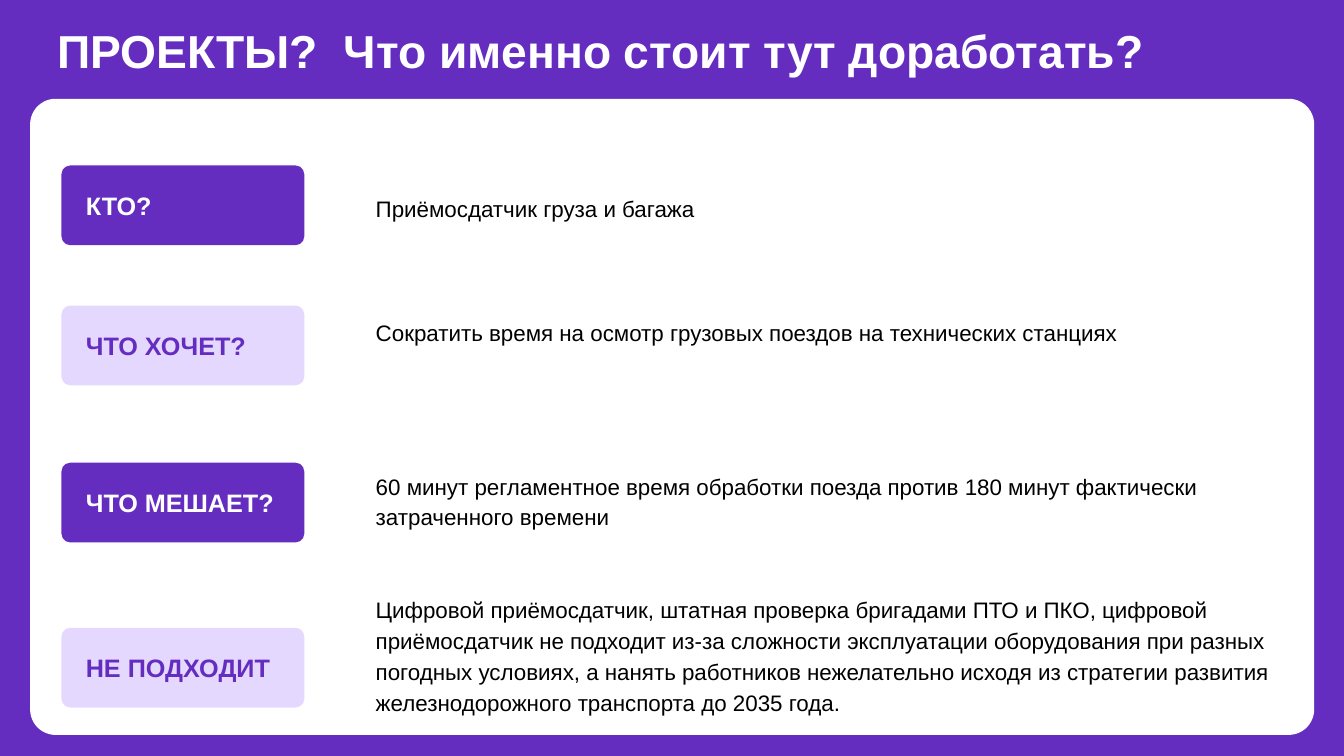
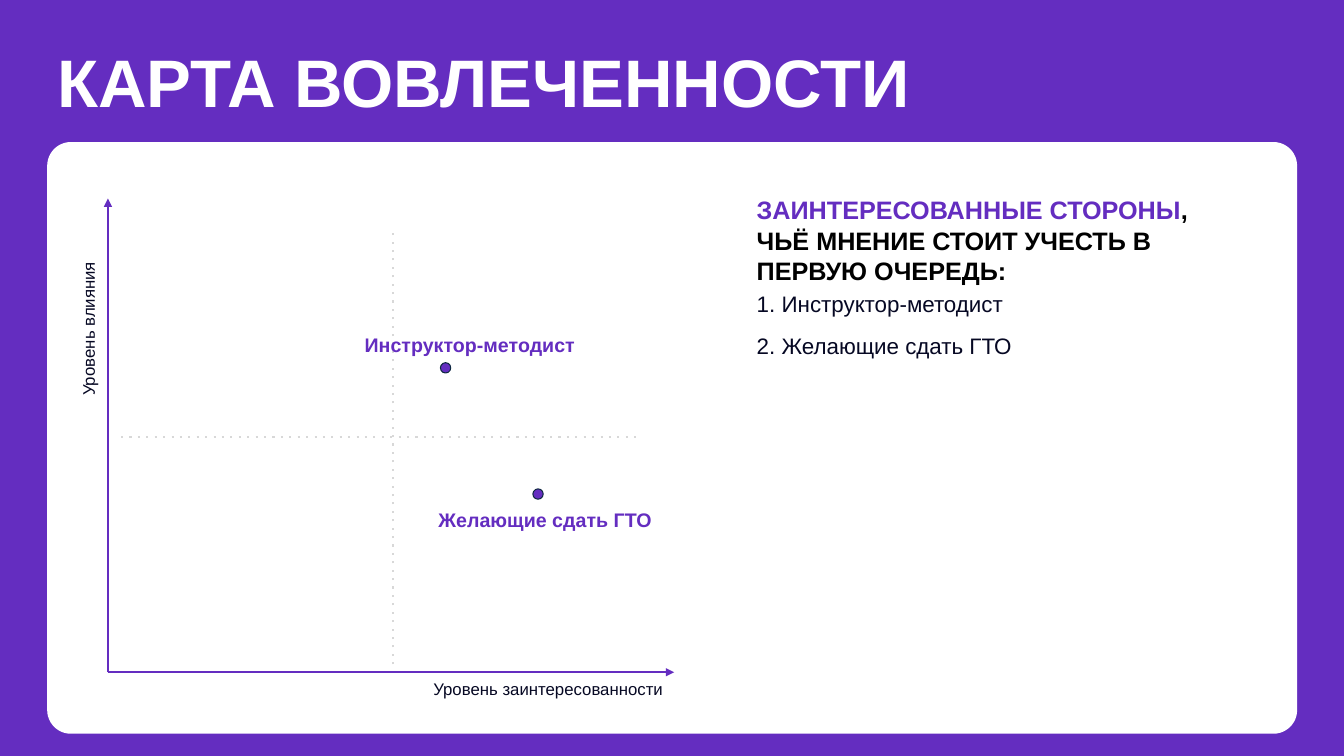
import dataclasses

import lxml.etree
import pptx
import pptx.dml.color
import pptx.enum.shapes
import pptx.enum.text
import pptx.oxml.ns
import pptx.util

Cm = pptx.util.Cm
Pt = pptx.util.Pt
RGB = pptx.dml.color.RGBColor.from_string
SHAPE = pptx.enum.shapes.MSO_SHAPE
ANCHOR = pptx.enum.text.MSO_ANCHOR
qn = pptx.oxml.ns.qn


@dataclasses.dataclass(frozen=True)
class Theme:
    font: str = "Arial"
    violet: str = "642DC0"
    lilac: str = "E5D8FE"
    white: str = "FFFFFF"
    black: str = "000000"
    ink: str = "060823"
    outline: str = "0E2841"
    grid: str = "D8D8D8"
    question: int = 33
    title: int = 48
    label: int = 18
    body: int = 16
    point: int = 14
    axis: int = 12


T = Theme()


def add_shape(s, kind, box, fill, adj=None, line=None):
    sp = s.shapes.add_shape(kind, *map(Cm, box))
    sp.shadow.inherit = False
    sp.fill.solid()
    sp.fill.fore_color.rgb = RGB(fill)
    if line:
        sp.line.color.rgb = RGB(line)
        sp.line.width = Pt(0.75)
    else:
        sp.line.fill.background()
    if adj:
        sp.adjustments[0] = adj
    return sp


def add_text(sp, text, p=None, size=T.body, color=T.ink, bold=False, spacing=None):
    tf = sp.text_frame
    tf.word_wrap = True
    p = p or tf.paragraphs[0]
    p.alignment = pptx.enum.text.PP_ALIGN.LEFT
    if spacing:
        p.line_spacing = spacing
    r = p.add_run()
    r.text = text
    r.font.name = T.font
    r.font.size = Pt(size)
    r.font.bold = bold
    r.font.color.rgb = RGB(color)
    return p


prs = pptx.Presentation()
prs.slide_width, prs.slide_height = Cm(33.87), Cm(19.05)

slides = []
for title, size, title_box, card in [
    ("ПРОЕКТЫ?  Что именно стоит тут доработать?", T.question,
     (1.19, 0.43, 31.4, 1.68), (0.76, 2.49, 32.36, 16.03)),
    ("КАРТА ВОВЛЕЧЕННОСТИ", T.title,
     (1.19, 0.89, 23.37, 2.31), (1.19, 3.58, 31.5, 14.91)),
]:
    s = prs.slides.add_slide(prs.slide_layouts[6])
    s.background.fill.solid()
    s.background.fill.fore_color.rgb = RGB(T.violet)
    add_shape(s, SHAPE.ROUNDED_RECTANGLE, card, T.white, adj=0.04)
    sp = s.shapes.add_textbox(*map(Cm, title_box))
    add_text(sp, title, size=size, color=T.white, bold=True)
    slides.append(s)

projects, engagement = slides

rows = [
    ("КТО?", 4.17, "Приёмосдатчик груза и багажа", 4.57, 1),
    ("ЧТО ХОЧЕТ?", 7.7,
     "Сократить время на осмотр грузовых поездов на технических станциях", 7.68, 1),
    ("ЧТО МЕШАЕТ?", 11.66,
     "60 минут регламентное время обработки поезда против 180 минут "
     "фактически затраченного времени", 11.56, 2),
    ("НЕ ПОДХОДИТ", 15.82,
     "Цифровой приёмосдатчик, штатная проверка бригадами ПТО и ПКО, цифровой "
     "приёмосдатчик не подходит из-за сложности эксплуатации оборудования при разных "
     "погодных условиях, а нанять работников нежелательно исходя из стратегии развития "
     "железнодорожного транспорта до 2035 года.", 14.67, 4),
]
label_styles = [(T.violet, T.white), (T.lilac, T.violet)]
for i, (label, label_top, answer, answer_top, lines) in enumerate(rows):
    fill, color = label_styles[i % 2]
    sp = add_shape(projects, SHAPE.ROUNDED_RECTANGLE, (1.55, label_top, 6.12, 2.01), fill, adj=0.11)
    sp.text_frame.margin_left = Cm(0.55)
    sp.text_frame.vertical_anchor = ANCHOR.MIDDLE
    add_text(sp, label, size=T.label, color=color, bold=True)
    sp = projects.shapes.add_textbox(Cm(9.22), Cm(answer_top), Cm(23.37), Cm(0.5 + 0.78 * lines))
    sp.text_frame.margin_top = sp.text_frame.margin_bottom = Cm(0.25)
    add_text(sp, answer, color=T.black, spacing=1.15)

origin = (2.72, 16.94)
for start, end, color, tag, attrs in [
    (origin, (2.72, 5), T.violet, "a:tailEnd", {"type": "triangle"}),
    (origin, (16.99, 16.94), T.violet, "a:tailEnd", {"type": "triangle"}),
    ((9.91, 16.74), (9.91, 5.74), T.grid, "a:prstDash", {"val": "dot"}),
    ((3.05, 11.02), (16.03, 11.02), T.grid, "a:prstDash", {"val": "dot"}),
]:
    cn = engagement.shapes.add_connector(
        pptx.enum.shapes.MSO_CONNECTOR.STRAIGHT, *map(Cm, start + end))
    cn.line.color.rgb = RGB(color)
    cn.line.width = Pt(1.5)
    lxml.etree.SubElement(cn.line._get_or_add_ln(), qn(tag), attrs)
    lxml.etree.SubElement(cn._element.spPr, qn("a:effectLst"))

for text, box, angle in [
    ("Уровень влияния", (-0.91, 6.71, 6.27, 0.76), 270),
    ("Уровень заинтересованности", (10.67, 16.99, 7.8, 0.76), 0),
]:
    sp = engagement.shapes.add_textbox(*map(Cm, box))
    sp.rotation = angle
    add_text(sp, text, size=T.axis)

dot = 0.26
parties = [
    ("Инструктор-методист", (11.23, 9.27), (8.94, 8.26, 7.44, 0.86)),
    ("Желающие сдать ГТО", (13.56, 12.45), (10.8, 12.67, 7.87, 0.86)),
]
for name, (x, y), box in parties:
    add_shape(engagement, SHAPE.OVAL, (x - dot / 2, y - dot / 2, dot, dot), T.violet, line=T.outline)
    sp = engagement.shapes.add_textbox(*map(Cm, box))
    add_text(sp, name, size=T.point, color=T.violet, bold=True)

sp = engagement.shapes.add_textbox(Cm(18.82), Cm(4.78), Cm(12.12), Cm(2.57))
p = add_text(sp, "ЗАИНТЕРЕСОВАННЫЕ СТОРОНЫ", size=T.label, color=T.violet, bold=True)
add_text(sp, ", ЧЬЁ МНЕНИЕ СТОИТ УЧЕСТЬ В ПЕРВУЮ ОЧЕРЕДЬ:", p=p,
         size=T.label, color=T.black, bold=True)

sp = engagement.shapes.add_textbox(Cm(18.82), Cm(7.19), Cm(12.04), Cm(1.95))
tf = sp.text_frame
for i, (name, *_) in enumerate(parties):
    p = tf.add_paragraph() if i else tf.paragraphs[0]
    if i:
        p.space_before = Pt(10.5)
    pPr = p._p.get_or_add_pPr()
    pPr.set("marL", str(Cm(0.63)))
    pPr.set("indent", str(-Cm(0.63)))
    lxml.etree.SubElement(pPr, qn("a:buFont"), typeface=T.font)
    lxml.etree.SubElement(pPr, qn("a:buAutoNum"), type="arabicPeriod")
    add_text(sp, name, p=p)

prs.save("out.pptx")
